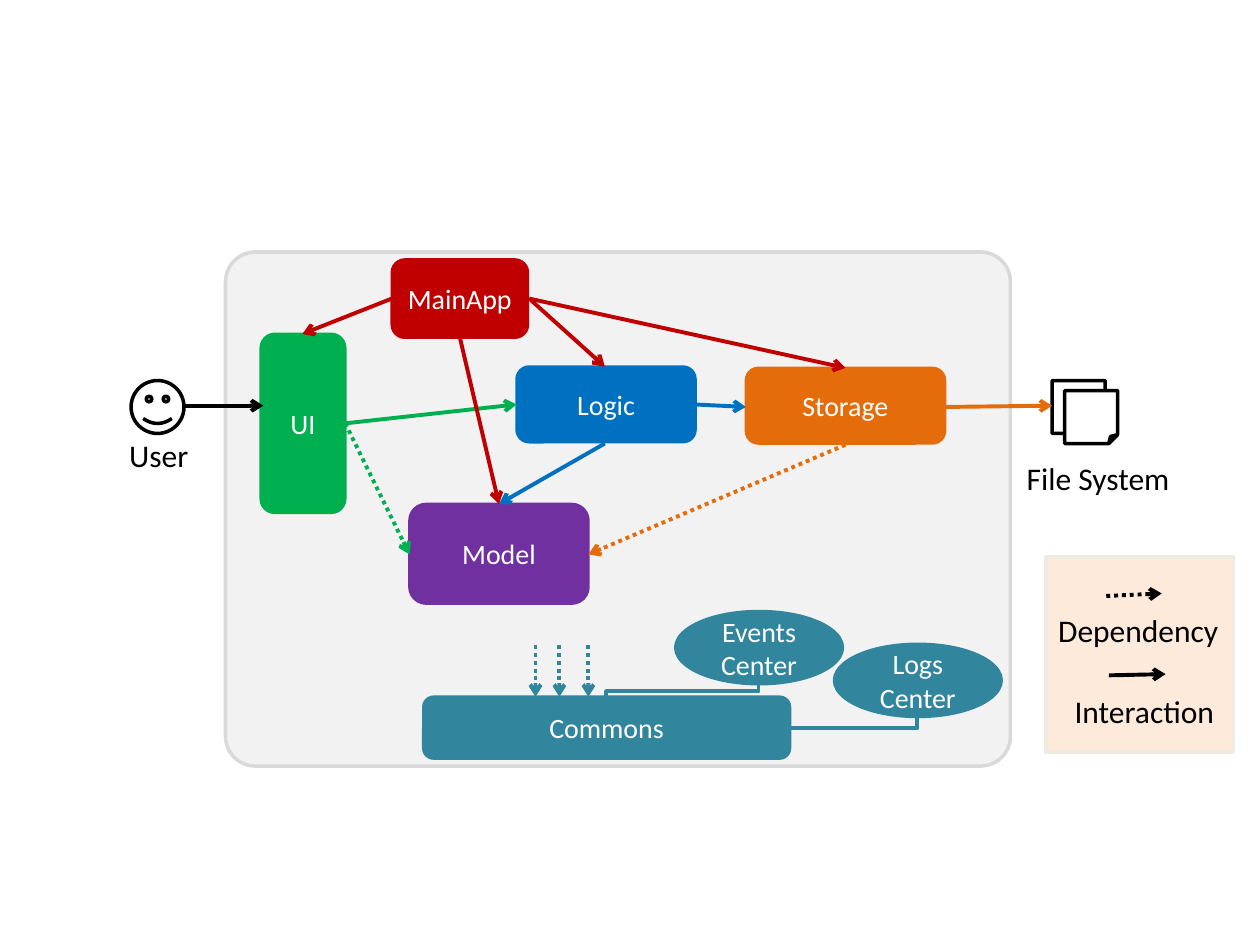
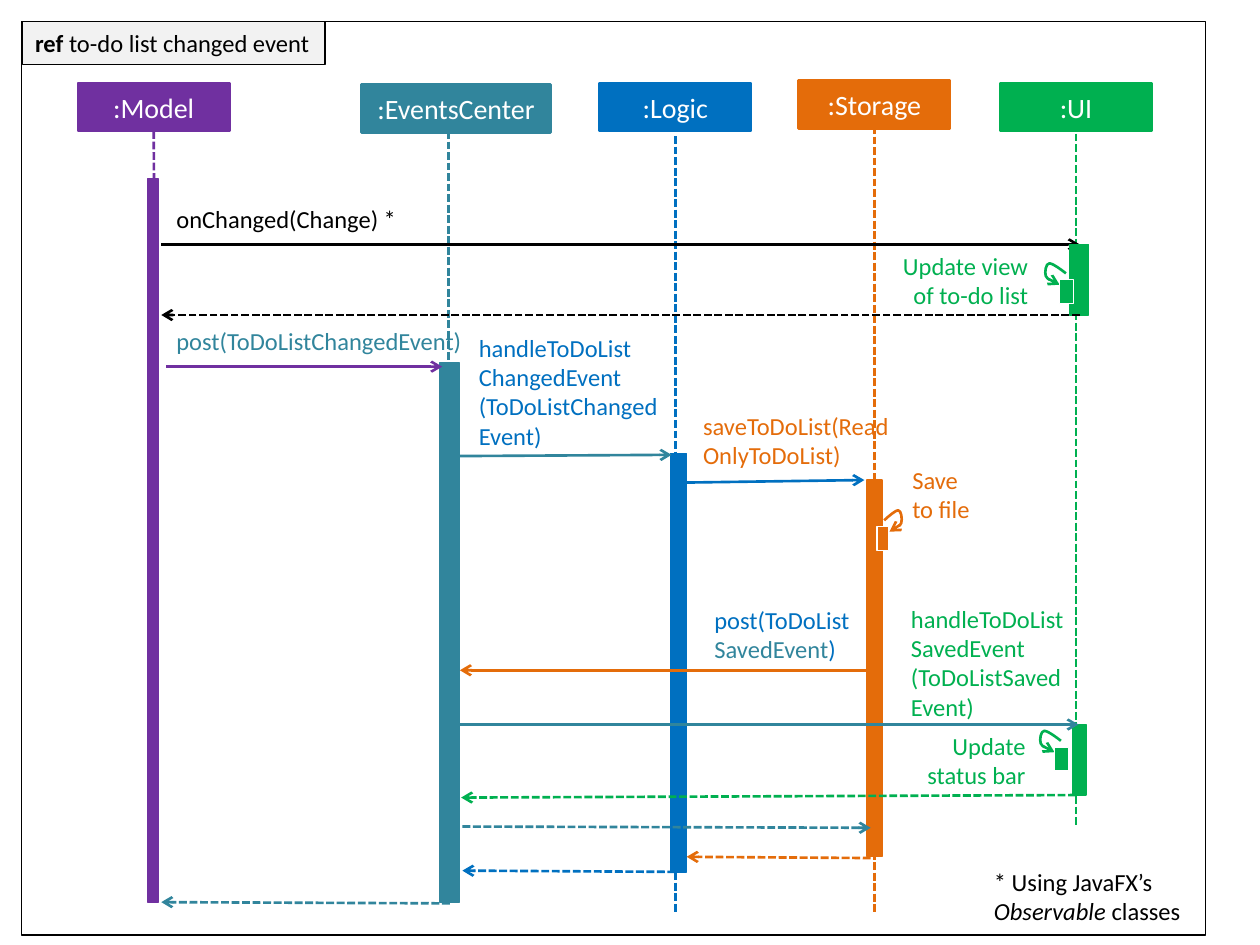
from lxml import etree
from pptx import Presentation
from pptx.dml.color import RGBColor
from pptx.enum.dml import MSO_LINE as DASH
from pptx.enum.shapes import MSO_CONNECTOR as CONN, MSO_SHAPE as SHAPE
from pptx.enum.text import MSO_ANCHOR as ANCHOR, MSO_AUTO_SIZE as AUTO, PP_ALIGN as ALIGN
from pptx.oxml.ns import qn
from pptx.util import Inches, Pt

# Shared look
FONT = "Calibri"
BLACK, WHITE, PALE = "000000", "FFFFFF", "F2F2F2"
GREEN, BLUE, ORANGE = "00B050", "0070C0", "E46C0A"
PURPLE, TEAL, RED = "7030A0", "31859C", "C00000"
DOT, DASHED = DASH.ROUND_DOT, DASH.SQUARE_DOT
ROUND, RECT, OVAL = SHAPE.ROUNDED_RECTANGLE, SHAPE.RECTANGLE, SHAPE.OVAL

# Architecture: text, preset, colour, place
COMPONENTS = [
    ("UI", ROUND, GREEN, (2.07, 2.65, 0.67, 1.42)),
    ("Logic", ROUND, BLUE, (4.1, 2.91, 1.42, 0.6)),
    ("Storage", ROUND, ORANGE, (5.92, 2.92, 1.58, 0.6)),
    ("Model", ROUND, PURPLE, (3.25, 4, 1.42, 0.79)),
    ("Commons", ROUND, TEAL, (3.36, 5.53, 2.91, 0.49)),
    ("MainApp", ROUND, RED, (3.11, 2.06, 1.08, 0.62)),
    ("Events Center", OVAL, TEAL, (5.36, 4.85, 1.33, 0.58)),
    ("Logs\vCenter", OVAL, TEAL, (6.62, 5.11, 1.33, 0.58)),
]
ICONS = [
    (SHAPE.SMILEY_FACE, 1.04, 3.02),
    (SHAPE.FOLDED_CORNER, 8.35, 3.02),
    (SHAPE.FOLDED_CORNER, 8.45, 3.1),
]
# start, end, colour, dash
LINKS = [
    ((2.74, 3.36), (4.1, 3.21), GREEN, None),
    ((2.74, 3.36), (3.25, 4.4), GREEN, DOT),
    ((4.8, 3.52), (3.96, 4), BLUE, None),
    ((5.51, 3.21), (5.92, 3.23), BLUE, None),
    ((1.46, 3.22), (2.09, 3.22), BLACK, None),
    ((7.5, 3.23), (8.35, 3.22), ORANGE, None),
    ((6.71, 3.53), (4.67, 4.4), ORANGE, DOT),
    ((3.65, 2.68), (3.96, 4), RED, None),
    ((4.2, 2.37), (4.8, 2.91), RED, None),
    ((3.11, 2.37), (2.4, 2.65), RED, None),
    ((4.2, 2.37), (6.71, 2.92), RED, None),
    ((8.78, 4.73), (9.22, 4.71), BLACK, DOT),
    ((8.8, 5.36), (9.25, 5.35), BLACK, None),
] + [((x, 5.12), (x, 5.53), TEAL, DOT) for x in (4.25, 4.44, 4.67)]
ELBOWS = [
    ((7.28, 5.7), (6.27, 5.78), "bentConnector2"),
    ((6.02, 5.44), (4.81, 5.53), "bentConnector3"),
]
CAPTIONS = [
    ("File System", (8.04, 3.59, 1.35, 0.4), ALIGN.CENTER),
    ("User", (0.92, 3.41, 0.68, 0.4), ALIGN.CENTER),
    ("Dependency", (8.3, 4.8, 1.49, 0.4), ALIGN.LEFT),
    ("Interaction", (8.43, 5.44, 1.32, 0.4), ALIGN.LEFT),
]

# Sequence: name, colour, head (left, top, width), lifeline ends, activation bars
PARTICIPANTS = [
    (":EventsCenter", TEAL, (2.87, 0.67, 1.5), (3.56, 1.04), (3.56, 4.94),
     [(3.49, 2.88, 0.16, 4.28)]),
    (":Storage", ORANGE, (6.34, 0.64, 1.2), (6.94, 1), (6.94, 7.25),
     [(6.88, 3.81, 0.12, 2.99)]),
    (":Model", PURPLE, (0.62, 0.66, 1.2), (1.22, 1.04), (1.25, 5.83),
     [(1.17, 1.42, 0.09, 5.74)]),
    (":UI", GREEN, (7.94, 0.66, 1.2), (8.54, 1.06), (8.54, 6.56),
     [(8.51, 5.75, 0.11, 0.56), (8.49, 1.94, 0.15, 0.56)]),
    (":Logic", BLUE, (4.76, 0.66, 1.2), (5.36, 1.08), (5.36, 7.25),
     [(5.32, 3.6, 0.13, 3.32)]),
]
FIRST_CALL = ((1.28, 1.94), (8.57, 1.94), BLACK, None)
MESSAGES = [
    ((8.57, 2.5), (1.28, 2.5), BLACK, DASHED),
    ((1.32, 2.91), (3.51, 2.91), PURPLE, None),
    ((3.63, 3.62), (5.33, 3.61), TEAL, None),
    ((5.44, 3.83), (6.86, 3.81), BLUE, None),
    ((6.88, 5.32), (3.65, 5.32), ORANGE, None),
    ((3.64, 5.75), (8.56, 5.75), TEAL, None),
    ((8.54, 6.31), (3.66, 6.33), GREEN, DASHED),
    ((3.67, 6.56), (6.91, 6.57), TEAL, DASHED),
    ((6.91, 6.81), (5.45, 6.8), ORANGE, DASHED),
    ((5.36, 6.92), (3.67, 6.91), BLUE, DASHED),
    ((3.57, 7.17), (1.28, 7.16), TEAL, DASHED),
]
# text, colour, place, alignment
LABELS = [
    ("onChanged(Change) *", BLACK, (1.4, 1.62, 2.7, 0.24), ALIGN.LEFT),
    ("post(ToDoListChangedEvent)", TEAL, (1.4, 2.59, 2.7, 0.24), ALIGN.LEFT),
    ("handleToDoList\nChangedEvent\n(ToDoListChanged\nEvent)", BLUE,
     (3.8, 2.64, 1.44, 0.94), ALIGN.LEFT),
    ("saveToDoList(Read\nOnlyToDoList)", ORANGE, (5.58, 3.26, 1.73, 0.47), ALIGN.LEFT),
    ("Save \vto file", ORANGE, (7.24, 3.69, 0.51, 0.47), ALIGN.LEFT),
    ([("post(ToDoList\n", {}), ("SavedEvent", {"color": TEAL}), (")", {})], BLUE,
     (5.67, 4.8, 1.56, 0.47), ALIGN.LEFT),
    ("handleToDoList\nSavedEvent\n(ToDoListSaved\nEvent)", GREEN,
     (7.23, 4.79, 1.44, 0.94), ALIGN.LEFT),
    ("Update view of to-do list", GREEN, (7.08, 1.99, 1.08, 0.47), ALIGN.RIGHT),
    ("Update status bar", GREEN, (7.06, 5.8, 1.08, 0.47), ALIGN.RIGHT),
]
TITLE = [("ref ", {"bold": True}), ("to-do list changed event", {})]
FOOTNOTE = [("* Using JavaFX’s ", {}), ("Observable", {"italic": True}), (" classes", {})]
# Self-calls: arrow tip, colour, horizontal scale (negative is mirrored)
SELF_CALLS = [(8.37, 5.97, GREEN, 1), (8.41, 2.26, GREEN, 1), (7.06, 4.22, ORANGE, -0.85)]
LOOP = [(-0.05, -0.02), (-0.09, -0.04), (-0.11, -0.07), (-0.12, -0.1), (-0.11, -0.17),
        (-0.08, -0.17), (-0.06, -0.17), (0, -0.13), (0.05, -0.09)]


def rgb(color):
    return RGBColor.from_string(color)


def box(at):
    return [Inches(v) for v in at]


def write(tf, text, size=16, color=WHITE, align=ALIGN.CENTER, wrap=True):
    """Text is a string or (string, format) runs; \\n is a paragraph, \\v a line break."""
    tf.word_wrap = wrap
    p = tf.paragraphs[0]
    p.alignment = align
    for chunk, fmt in [(text, {})] if isinstance(text, str) else text:
        for i, part in enumerate(chunk.split("\n")):
            if i:
                p = tf.add_paragraph()
                p.alignment = align
            for j, line in enumerate(part.split("\v")):
                if j:
                    p.add_line_break()
                if line:
                    r = p.add_run()
                    r.text = line
                    r.font.name, r.font.size = FONT, Pt(size)
                    r.font.color.rgb = rgb(fmt.get("color", color))
                    r.font.bold = fmt.get("bold", False)
                    r.font.italic = fmt.get("italic", False)


def shape(slide, preset, at, fill, line=None, width=1.5, text=None, **fmt):
    sp = slide.shapes.add_shape(preset, *box(at))
    sp.shadow.inherit = False
    sp.fill.solid()
    sp.fill.fore_color.rgb = rgb(fill)
    sp.line.color.rgb = rgb(line or fill)
    sp.line.width = Pt(width)
    if text:
        sp.text_frame.vertical_anchor = ANCHOR.MIDDLE
        write(sp.text_frame, text, **fmt)
    return sp


def label(slide, text, at, inset=None, **fmt):
    tf = slide.shapes.add_textbox(*box(at)).text_frame
    if inset is not None:
        tf.margin_left = tf.margin_top = tf.margin_right = tf.margin_bottom = inset
    write(tf, text, **fmt)
    tf.auto_size = AUTO.SHAPE_TO_FIT_TEXT


def arrowhead(sp, end):
    etree.SubElement(sp._element.spPr.find(qn("a:ln")), qn("a:" + end), type="arrow")


def connector(slide, start, end, color, dash=None, width=2.25, arrow=True, kind=CONN.STRAIGHT):
    cn = slide.shapes.add_connector(kind, *box(start + end))
    cn.line.color.rgb = rgb(color)
    cn.line.width = Pt(width)
    if dash:
        cn.line.dash_style = dash
    if arrow:
        arrowhead(cn, "tailEnd")
    etree.SubElement(cn._element.spPr, qn("a:effectLst"))
    return cn


def elbow(slide, start, end, preset, color):
    """Connector that leaves downwards and goes left: its frame is turned by 90 degrees."""
    (x1, y1), (x2, y2) = start, end
    cx, cy, w, h = (x1 + x2) / 2, (y1 + y2) / 2, y2 - y1, x1 - x2
    cn = connector(slide, (cx - w / 2, cy - h / 2), (cx + w / 2, cy + h / 2), color,
                   arrow=False, kind=CONN.ELBOW)
    spPr = cn._element.spPr
    spPr.find(qn("a:xfrm")).set("rot", str(90 * 60000))
    spPr.find(qn("a:prstGeom")).set("prst", preset)


def self_call(slide, x, y, color, scale):
    fb = slide.shapes.build_freeform(Inches(x), Inches(y))
    fb.add_line_segments([box((x + scale * dx, y + dy)) for dx, dy in LOOP], close=False)
    sp = fb.convert_to_shape()
    # Each three points become one curve
    outline = next(sp._element.iter(qn("a:path")))
    steps = outline.findall(qn("a:lnTo"))
    for i in range(0, len(steps), 3):
        curve = etree.SubElement(outline, qn("a:cubicBezTo"))
        for step in steps[i:i + 3]:
            curve.append(step[0])
            outline.remove(step)
    sp.shadow.inherit = False
    sp.fill.background()
    sp.line.color.rgb = rgb(color)
    sp.line.width = Pt(1.5)
    arrowhead(sp, "headEnd")
    left, width = (x, 0.11) if scale > 0 else (x - 0.1, 0.09)
    shape(slide, RECT, (left, y - 0.04, width, 0.19), color, WHITE, 0.75)


prs = Presentation()
prs.slide_width, prs.slide_height = Inches(10), Inches(7.5)
blank = prs.slide_layouts[6]

# Slide 1: architecture
s = prs.slides.add_slide(blank)
shape(s, RECT, (8.3, 4.42, 1.49, 1.55), "FDEADA", "EEECE1", 2)
shape(s, ROUND, (1.79, 2, 6.23, 4.08), PALE, "D9D9D9", 2).adjustments[0] = 0.058
for text, preset, color, at in COMPONENTS:
    # Box names stay on one line; only the ovals wrap
    shape(s, preset, at, color, text=text, wrap=preset == OVAL)
for preset, x, y in ICONS:
    shape(s, preset, (x, y, 0.42, 0.42), WHITE, BLACK, 2)
for link in LINKS:
    connector(s, *link)
for start, end, preset in ELBOWS:
    elbow(s, start, end, preset, TEAL)
for text, at, align in CAPTIONS:
    label(s, text, at, size=18, color=BLACK, align=align, wrap=False)

# Slide 2: sequence of the changed event
s = prs.slides.add_slide(blank)
shape(s, RECT, (0.17, 0.17, 9.4, 7.25), WHITE, BLACK, 0.75)
shape(s, RECT, (0.18, 0.17, 2.4, 0.34), PALE, BLACK, 0.75, text=TITLE,
      size=14, color=BLACK, align=ALIGN.LEFT, wrap=False)
for name, color, head, top, bottom, bars in PARTICIPANTS:
    shape(s, RECT, head + (0.38,), color, text=name, wrap=False)
    connector(s, top, bottom, color, DASHED, width=1.5, arrow=False)
connector(s, *FIRST_CALL, width=1.5)
for name, color, head, top, bottom, bars in PARTICIPANTS:
    for bar in bars:
        shape(s, RECT, bar, color, width=0.75)
for message in MESSAGES:
    connector(s, *message, width=1.5)
for call in SELF_CALLS:
    self_call(s, *call)
for text, color, at, align in LABELS:
    label(s, text, at, inset=0, size=14, color=color, align=align)
label(s, FOOTNOTE, (7.79, 6.83, 1.77, 0.57), size=14, color=BLACK, align=ALIGN.LEFT)

prs.save("out.pptx")
